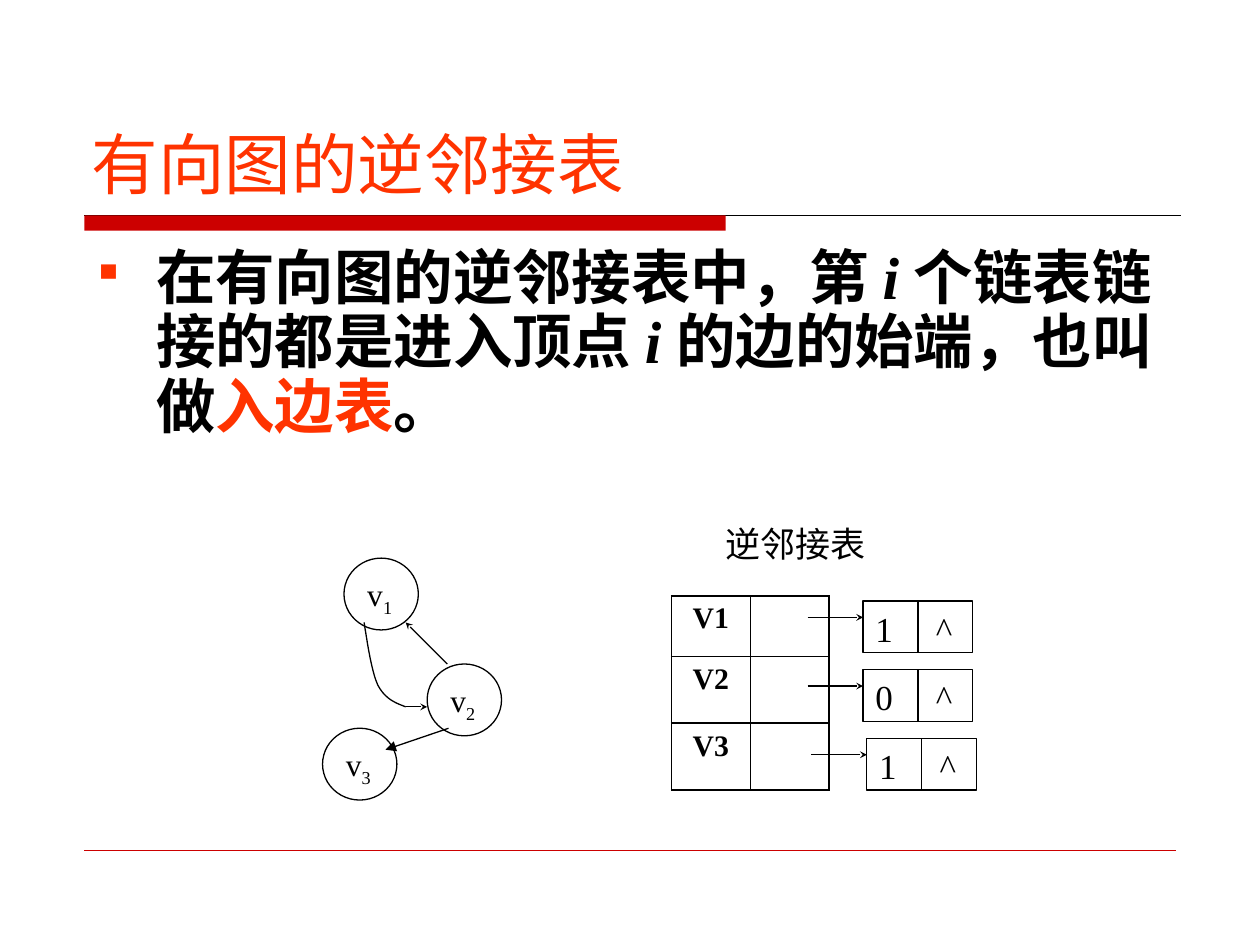
import pptx
import pptx.dml.color
import pptx.enum.shapes
import pptx.enum.text
import pptx.oxml
import pptx.oxml.ns
import pptx.util
from dataclasses import dataclass
from lxml import etree

Inches, Pt = pptx.util.Inches, pptx.util.Pt
Shape = pptx.enum.shapes.MSO_SHAPE
Align, Anchor = pptx.enum.text.PP_ALIGN, pptx.enum.text.MSO_ANCHOR
qn = pptx.oxml.ns.qn


@dataclass(frozen=True)
class Theme:
    sans: str = "DejaVu Sans"
    serif: str = "Times New Roman"
    ink: str = "000000"
    paper: str = "FFFFFF"
    accent: str = "FF3300"
    rule: str = "CC0000"
    title: int = 38
    body: int = 34
    label: int = 20
    vertex: int = 18
    cell: int = 17
    stroke: float = 0.75


theme = Theme()

# Content
TITLE = "有向图的逆邻接表"
BODY = [  # text, style
    ("在有向图的逆邻接表中，第 ", ""), ("i ", "italic"),
    ("个链表链接的都是进入顶点 ", ""), ("i ", "italic"),
    ("的边的始端，也叫做", ""), ("入边表", "accent"), ("。", ""),
]
CAPTION = "逆邻接表"
HEADS = ["V1", "V2", "V3"]
ROW_HEIGHTS = [0.48, 0.53, 0.53]
LIST_NODES = [("1", 6.85), ("0", 6.85), ("1", 6.88)]  # index, left
VERTICES = [("1", 2.73, 4.43), ("2", 3.39, 5.27), ("3", 2.56, 5.78)]
EDGES = [  # start, end, arrowhead
    ((3.22, 5.61), (3.39, 5.61), "stealth"),
    ((3.56, 5.78), (3.06, 5.95), "triangle"),
    ((3.55, 5.27), (3.22, 4.94), "stealth"),
]
CURVE = [  # Bezier pieces of the edge from v1 to v2
    ((2.89, 4.94), (2.92, 5.13), (2.95, 5.33), (3.0, 5.44)),
    ((3.0, 5.44), (3.06, 5.55), (3.14, 5.58), (3.22, 5.61)),
]

# Grid
LEFT, WIDTH = 0.63, 8.75
NODE_TOP, NODE_STEP, NODE_W, NODE_H = 4.77, 0.545, 0.87, 0.41
ARROW_LENGTH, ARROW_DROP = 0.44, 0.13
VERTEX_W, VERTEX_H = 0.59, 0.57

deck = pptx.Presentation()
deck.slide_width, deck.slide_height = Inches(10), Inches(7.5)
page = deck.slides.add_slide(deck.slide_layouts[6])


def rgb(value):
    return pptx.dml.color.RGBColor.from_string(value)


def set_font(font, size, color=theme.ink, name=theme.serif, bold=False):
    font.name, font.size, font.bold = name, Pt(size), bold
    font.color.rgb = rgb(color)


def add_text(left, top, width, height, anchor=Anchor.TOP):
    box = page.shapes.add_textbox(*map(Inches, (left, top, width, height)))
    box.text_frame.word_wrap = True
    box.text_frame.vertical_anchor = anchor
    return box.text_frame.paragraphs[0]


def add_block(kind, left, top, width, height, fill=theme.paper, line=theme.ink):
    block = page.shapes.add_shape(kind, *map(Inches, (left, top, width, height)))
    block.shadow.inherit = False
    block.fill.solid()
    block.fill.fore_color.rgb = rgb(fill)
    if line:
        block.line.color.rgb = rgb(line)
        block.line.width = Pt(theme.stroke)
    else:
        block.line.fill.background()
    block.text_frame.vertical_anchor = Anchor.TOP
    block.text_frame.paragraphs[0].alignment = Align.LEFT
    return block


def add_line(start, end, head=None, color=theme.ink, width=theme.stroke):
    line = page.shapes.add_connector(
        pptx.enum.shapes.MSO_CONNECTOR.STRAIGHT, *map(Inches, start + end))
    line.line.color.rgb = rgb(color)
    line.line.width = Pt(width)
    if head:
        size = "sm" if head == "stealth" else "med"
        etree.SubElement(line.line._get_or_add_ln(), qn("a:tailEnd"),
                         type=head, w=size, len=size)
    etree.SubElement(line._element.spPr, qn("a:effectLst"))
    return line


def add_tab(para, position):
    tabs = etree.SubElement(para._p.get_or_add_pPr(), qn("a:tabLst"))
    etree.SubElement(tabs, qn("a:tab"), pos=str(Inches(position)), algn="l")


def set_borders(cell):
    properties = cell._tc.get_or_add_tcPr()
    for index, side in enumerate(("lnL", "lnR", "lnT", "lnB")):
        border = etree.Element(qn("a:" + side), w=str(Pt(1)))
        fill = etree.SubElement(border, qn("a:solidFill"))
        etree.SubElement(fill, qn("a:srgbClr"), val=theme.ink)
        properties.insert(index, border)


def bezier(points, share):
    weights = ((1 - share) ** 3, 3 * share * (1 - share) ** 2,
               3 * share ** 2 * (1 - share), share ** 3)
    return tuple(Inches(sum(w * p[axis] for w, p in zip(weights, points)))
                 for axis in (0, 1))


# Rules of the page
add_line((0.67, 1.71), (9.37, 1.71))
add_block(Shape.RECTANGLE, 0.67, 1.71, 5.09, 0.12, theme.rule, None)
add_line((0.67, 6.75), (9.33, 6.75), color=theme.rule, width=0.25)

# Title
para = add_text(LEFT, 0.33, WIDTH, 1.33, Anchor.BOTTOM)
para.text = TITLE
set_font(para.font, theme.title, theme.accent, theme.sans)

# Definition
para = add_text(LEFT, 1.92, WIDTH, 1.68)
para.line_spacing = 0.9
settings = para._p.get_or_add_pPr()
settings.set("marL", str(Inches(0.51)))
settings.set("indent", str(-Inches(0.51)))
bullet_color = etree.SubElement(settings, qn("a:buClr"))
etree.SubElement(bullet_color, qn("a:srgbClr"), val=theme.accent)
etree.SubElement(settings, qn("a:buSzPct"), val="75000")
etree.SubElement(settings, qn("a:buChar"), char="▪")
set_font(para.font, theme.body, bold=True)
for text, style in BODY:
    span = para.add_run()
    span.text = text
    if style == "italic":
        span.font.italic = True
    elif style == "accent":
        span.font.color.rgb = rgb(theme.accent)

# Linked list nodes
for row, (index, left) in enumerate(LIST_NODES):
    top = NODE_TOP + row * NODE_STEP
    node = add_block(Shape.RECTANGLE, left, top, NODE_W, NODE_H)
    para = node.text_frame.paragraphs[0]
    para.text = index + "\t^"
    add_tab(para, 0.48)
    set_font(para.font, theme.label)
    middle = left + NODE_W / 2
    divider = add_line((middle, top), (middle, top + NODE_H))
    divider.begin_connect(node, 0)
    divider.end_connect(node, 2)

# Vertex table
frame = page.shapes.add_table(
    len(HEADS), 2, *map(Inches, (5.33, 4.73, 1.25, sum(ROW_HEIGHTS))))
table = frame.table
table.first_row = table.horz_banding = False
for column in table.columns:
    column.width = Inches(1.25 / 2)
for row, (head, height) in enumerate(zip(HEADS, ROW_HEIGHTS)):
    table.rows[row].height = Inches(height)
    table.cell(row, 0).text = head
    for cell in table.rows[row].cells:
        cell.fill.background()
        set_borders(cell)
        para = cell.text_frame.paragraphs[0]
        para.alignment = Align.CENTER
        set_font(para.font, theme.cell, bold=True)

# Arrows from the table to the nodes
for row, (index, left) in enumerate(LIST_NODES):
    level = NODE_TOP + row * NODE_STEP + ARROW_DROP
    add_line((left - ARROW_LENGTH, level), (left, level), "stealth")

# Caption
para = add_text(5.66, 4.1, 1.75, 0.43)
para.text = CAPTION
set_font(para.font, theme.label)

# Directed graph
for number, left, top in VERTICES:
    vertex = add_block(Shape.OVAL, left, top, VERTEX_W, VERTEX_H)
    vertex.text_frame.margin_right = 0
    para = vertex.text_frame.paragraphs[0]
    para.add_run().text = "v"
    span = para.add_run()
    span.text = number
    span.font._element.set("baseline", "-25000")
    set_font(para.font, theme.vertex)
for edge in EDGES:
    add_line(*edge)

outline = page.shapes.build_freeform(*bezier(CURVE[0], 0))
outline.add_line_segments(
    [bezier(piece, step / 10) for piece in CURVE for step in range(1, 11)], close=False)
curve = outline.convert_to_shape()
curve.shadow.inherit = False
curve.fill.background()
curve.line.color.rgb = rgb(theme.ink)
curve.line.width = Pt(theme.stroke)

deck.save("out.pptx")
